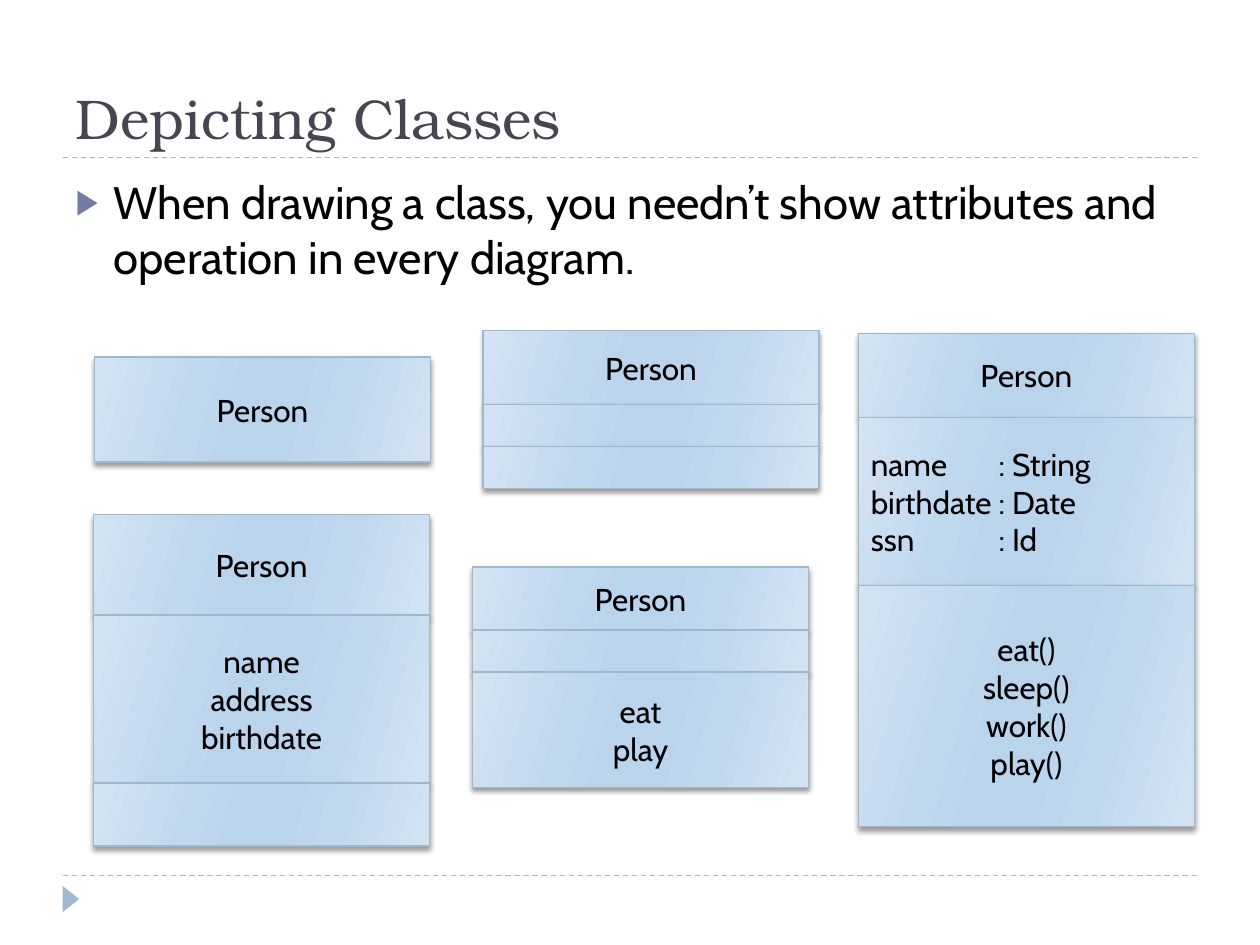
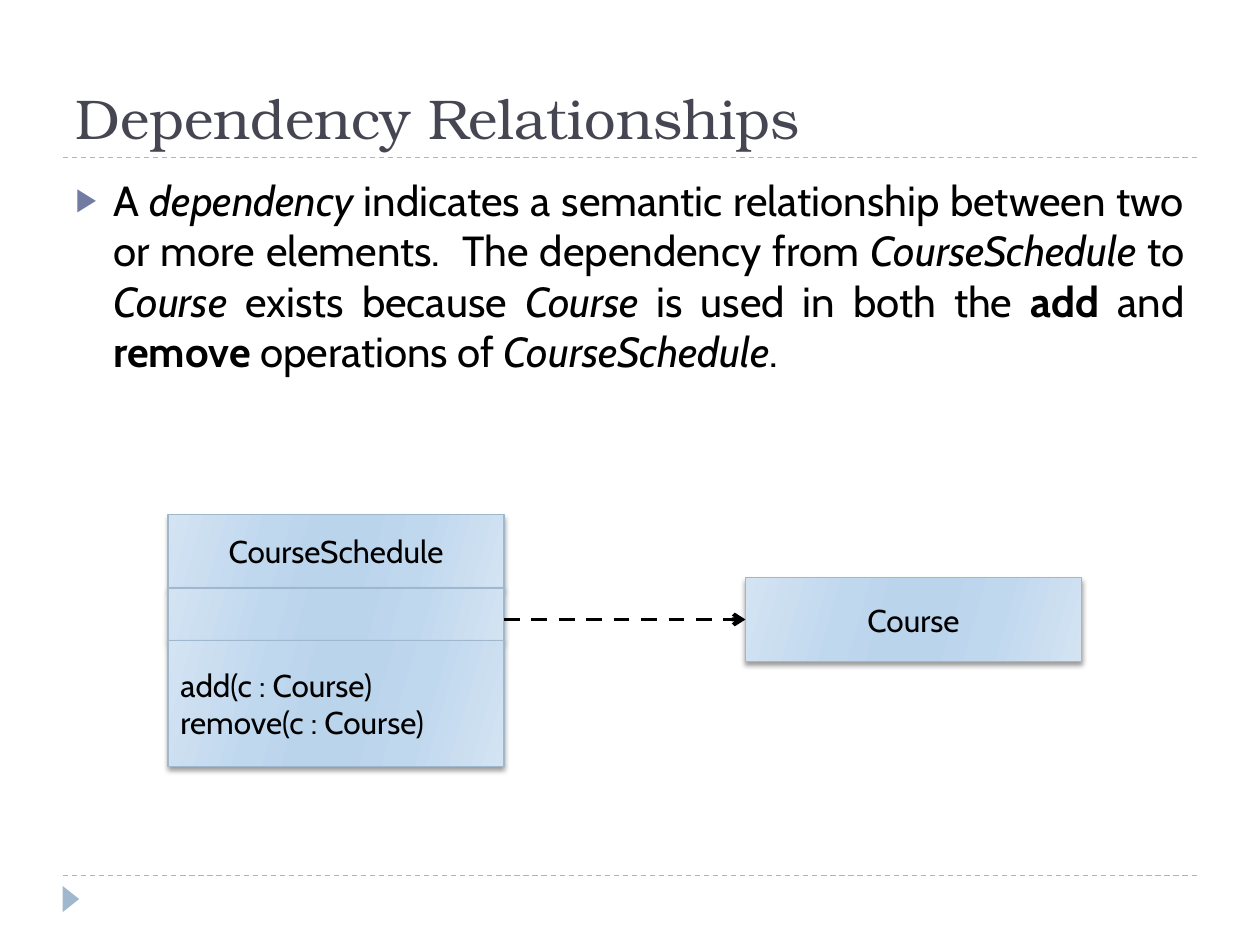
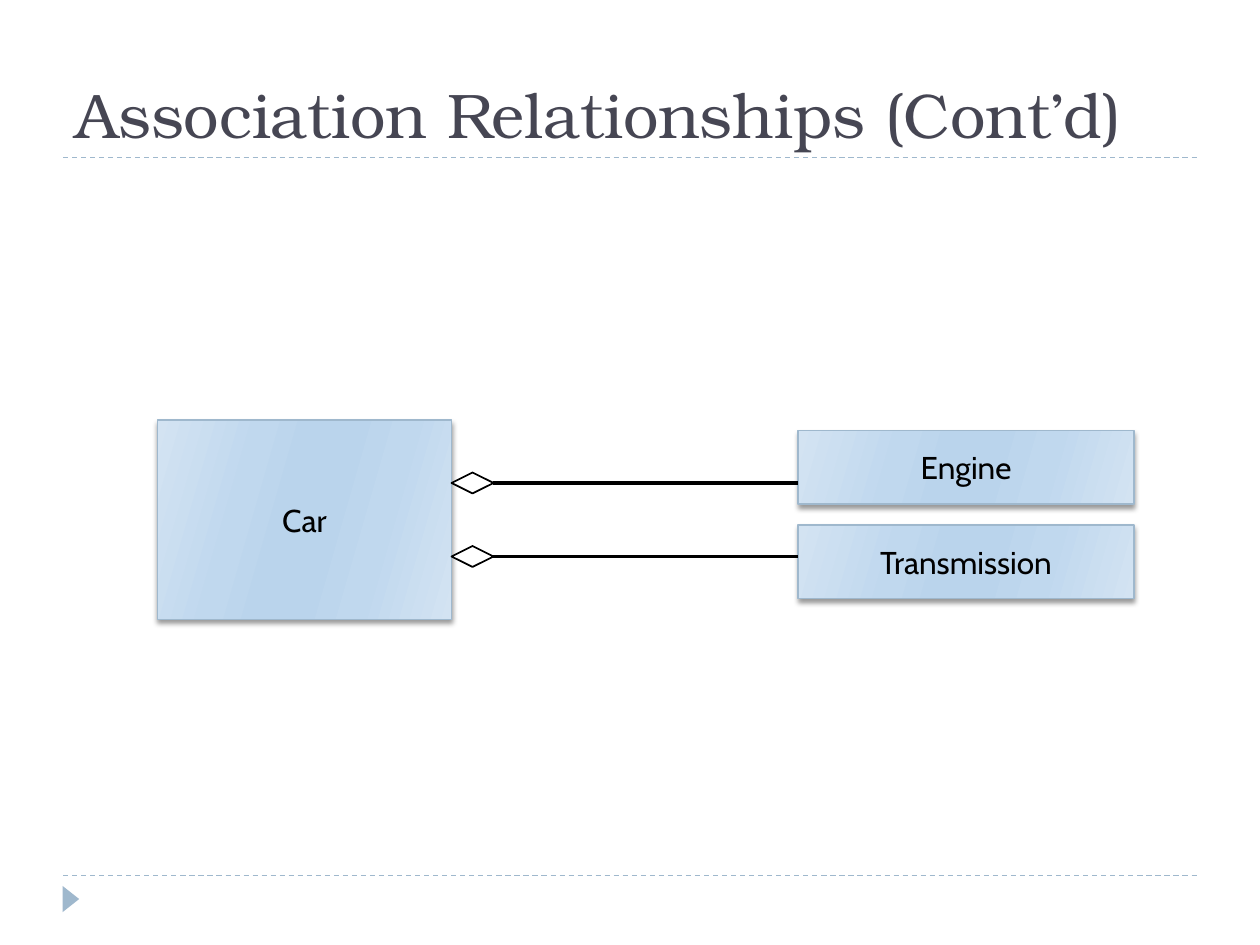
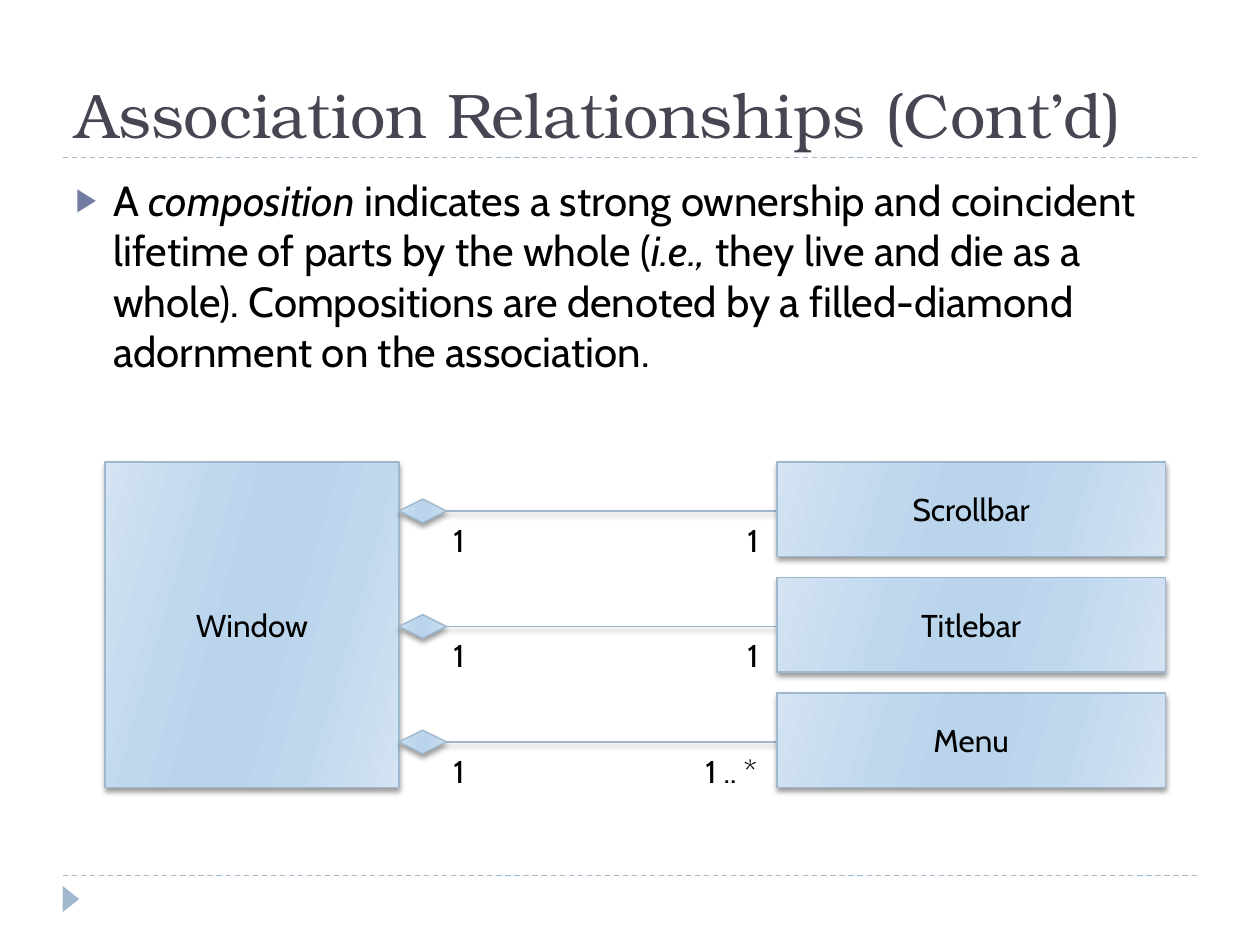
from lxml import etree
from pptx import Presentation
from pptx import util as u
from pptx.dml.color import RGBColor
from pptx.enum import dml, shapes, text
from pptx.oxml.ns import qn

Pt = u.Pt
COLORS = {
    "title": "464653",
    "ink": "000000",
    "paper": "FFFFFF",
    "accent": "9FB8CD",
    "bullet": "727CA3",
    "edge": "D3E3F2",
    "mid": "C0D8EE",
    "core": "BAD4EC",
}
GRADIENT = [(0, "edge"), (30, "mid"), (45, "core"), (55, "core"), (73, "mid"), (100, "edge")]
TITLE_FONT = "TeX Gyre Bonum"
BODY_FONT = "Cabin"
CLASS_WIDTH = 192
COLON_TAB = 73
LEFT, CENTER, JUSTIFY = text.PP_ALIGN.LEFT, text.PP_ALIGN.CENTER, text.PP_ALIGN.JUSTIFY


def rgb(name):
    return RGBColor.from_string(COLORS[name])


def add_node(parent, tag, **attributes):
    return etree.SubElement(parent, qn(tag), {key: str(value) for key, value in attributes.items()})


def set_font(font, size, color="ink", name=BODY_FONT):
    font.name, font.size = name, Pt(size)
    font.color.rgb = rgb(color)


def set_line(line, color="accent", width=0.75, dashed=False):
    line.color.rgb = rgb(color)
    line.width = Pt(width)
    if dashed:
        line.dash_style = dml.MSO_LINE.DASH


def set_shadow(shape):
    properties = shape.element.spPr
    effects = properties.find(qn("a:effectLst"))
    if effects is None:
        effects = add_node(properties, "a:effectLst")
    shadow = add_node(effects, "a:outerShdw", blurRad=Pt(3), dist=Pt(2), dir=5400000, rotWithShape=0)
    color = add_node(shadow, "a:srgbClr", val=COLORS["ink"])
    add_node(color, "a:alpha", val=40000)


def set_gradient(shape):
    shape.fill.gradient()
    shape.fill.gradient_angle = 344
    stops = shape.element.spPr.find(qn("a:gradFill")).find(qn("a:gsLst"))
    for stop in list(stops):
        stops.remove(stop)
    for position, color in GRADIENT:
        stop = add_node(stops, "a:gs", pos=position * 1000)
        add_node(stop, "a:srgbClr", val=COLORS[color])


def style_glass(shape):
    shape.shadow.inherit = False
    set_gradient(shape)
    set_line(shape.line)
    set_shadow(shape)


def add_line(page, start, end, y, color="accent", width=0.75, dashed=False, arrow=False, shadow=False):
    line = page.shapes.add_connector(shapes.MSO_CONNECTOR.STRAIGHT, Pt(start), Pt(y), Pt(end), Pt(y))
    set_line(line.line, color, width, dashed)
    if arrow:
        add_node(line.element.spPr.find(qn("a:ln")), "a:tailEnd", type="arrow")
    add_node(line.element.spPr, "a:effectLst")
    if shadow:
        set_shadow(line)
    return line


def add_diamond(page, left, middle, width, height):
    builder = page.shapes.build_freeform(Pt(left), Pt(middle), scale=1.0)
    corners = [(left + width / 2, middle - height / 2), (left + width, middle),
               (left + width / 2, middle + height / 2)]
    builder.add_line_segments([(Pt(x), Pt(y)) for x, y in corners], close=True)
    return builder.convert_to_shape()


def add_hollow_link(page, left, end, y):
    add_line(page, left + 24, end, y, "ink", 2.25)
    diamond = add_diamond(page, left, y, 24, 12)
    diamond.shadow.inherit = False
    diamond.fill.solid()
    diamond.fill.fore_color.rgb = rgb("paper")
    set_line(diamond.line, "ink", 1)


def add_filled_link(page, left, end, y):
    add_line(page, left + 27, end, y, shadow=True)
    style_glass(add_diamond(page, left, y, 27, 13.5))


def add_box(page, left, top, width, height, lines, align=CENTER):
    box = page.shapes.add_shape(shapes.MSO_SHAPE.RECTANGLE, Pt(left), Pt(top), Pt(width), Pt(height))
    style_glass(box)
    frame = box.text_frame
    frame.word_wrap = False
    frame.vertical_anchor = text.MSO_ANCHOR.MIDDLE
    frame.text = "\n".join(lines)
    for para in frame.paragraphs:
        para.alignment = align
        if "\t" in para.text:
            tabs = add_node(para._p.get_or_add_pPr(), "a:tabLst")
            add_node(tabs, "a:tab", pos=Pt(COLON_TAB), algn="l")
        set_font(para.font, 18)


def add_class(page, left, top, *compartments):
    for height, lines, *align in compartments:
        add_box(page, left, top, CLASS_WIDTH, height, lines, *align)
        top += height


def add_label(page, left, top, width, words):
    box = page.shapes.add_textbox(Pt(left), Pt(top), Pt(width), Pt(29))
    box.text_frame.word_wrap = True
    box.text_frame.auto_size = text.MSO_AUTO_SIZE.SHAPE_TO_FIT_TEXT
    para = box.text_frame.paragraphs[0]
    para.text = words
    set_font(para.font, 18)


def place(holder, left, top, width, height, anchor):
    holder.left, holder.top, holder.width, holder.height = Pt(left), Pt(top), Pt(width), Pt(height)
    holder.text_frame.auto_size = text.MSO_AUTO_SIZE.NONE
    holder.text_frame.vertical_anchor = anchor


def fill_body(page, size, spans, align=LEFT):
    body = page.placeholders[1]
    place(body, 36, 96, 648, 389, text.MSO_ANCHOR.TOP)
    para = body.text_frame.paragraphs[0]
    properties = para._p.get_or_add_pPr()
    properties.set("marL", str(Pt(21.6)))
    properties.set("indent", str(Pt(-21.6)))
    add_node(add_node(properties, "a:buClr"), "a:srgbClr", val=COLORS["bullet"])
    add_node(properties, "a:buSzPct", val=76000)
    add_node(properties, "a:buChar", char="▶")
    para.alignment = align
    para.space_before = Pt(6)
    set_font(para.font, size)
    for words, *style in spans:
        span = para.add_run()
        span.text = words
        if "italic" in style:
            span.font.italic = True
        if "bold" in style:
            span.font.bold = True


def add_page(deck, title, size, layout=1):
    page = deck.slides.add_slide(deck.slide_layouts[layout])
    place(page.shapes.title, 36, 12, 648, 78, text.MSO_ANCHOR.BOTTOM)
    para = page.shapes.title.text_frame.paragraphs[0]
    para.text = title
    para.alignment = LEFT
    set_font(para.font, size, "title", TITLE_FONT)
    return page


def decorate_master(deck, page):
    marker = page.shapes.add_shape(shapes.MSO_SHAPE.ISOSCELES_TRIANGLE, Pt(33), Pt(509), Pt(15), Pt(9.5))
    marker.rotation = 90
    marker.shadow.inherit = False
    marker.fill.solid()
    marker.fill.fore_color.rgb = rgb("accent")
    marker.line.fill.background()
    rules = [add_line(page, 36, 684, y, dashed=True) for y in (500.5, 90)]
    for number, shape in enumerate([*rules, marker], 100):
        shape.element.xpath(".//p:cNvPr")[0].set("id", str(number))
        deck.slide_master.shapes.element.append(shape.element)


def build_classes(deck):
    page = add_page(deck, "Depicting Classes", 32)
    decorate_master(deck, page)
    fill_body(page, 26, [("When drawing a class, you needn’t show attributes and operation in every diagram.",)])
    person = ["Person"]
    add_class(page, 54, 204, (60, person))
    add_class(page, 53.5, 294, (57.5, person), (96, ["name", "address", "birthdate"]), (36, []))
    add_class(page, 276, 189, (42, person), (24, []), (24, []))
    add_class(page, 490.5, 190.5, (48, person),
              (96, ["name\t: String", "birthdate\t: Date", "ssn\t: Id"], LEFT),
              (138, ["eat()", "sleep()", "work()", "play()"]))
    add_class(page, 270, 324, (36, person), (24, []), (66, ["eat", "play"]))


def build_dependency(deck):
    page = add_page(deck, "Dependency Relationships", 32)
    fill_body(page, 24, [
        ("A ",), ("dependency", "italic"),
        (" indicates a semantic relationship between two or more elements.  The dependency from ",),
        ("CourseSchedule", "italic"), (" to ",), ("Course", "italic"), (" exists because ",),
        ("Course", "italic"), (" is used in both the ",), ("add", "bold"), (" and ",),
        ("remove", "bold"), (" operations of ",), ("CourseSchedule", "italic"), (".",),
    ], JUSTIFY)
    add_class(page, 96, 294, (42, ["CourseSchedule"]), (30, []),
              (72, ["add(c : Course)", "remove(c : Course)"], LEFT))
    add_class(page, 426, 330, (48, ["Course"]))
    add_line(page, 96 + CLASS_WIDTH, 426, 354, "ink", 2.25, dashed=True, arrow=True)


def build_aggregation(deck):
    page = add_page(deck, "Association Relationships (Cont’d)", 36, layout=5)
    add_box(page, 90, 240, 168, 114, ["Car"])
    for part, top, link in (("Engine", 246, 276), ("Transmission", 300, 318)):
        add_class(page, 456, top, (42, [part]))
        add_hollow_link(page, 258, 456, link)


def build_composition(deck):
    page = add_page(deck, "Association Relationships (Cont’d)", 36)
    fill_body(page, 24, [
        ("A ",), ("composition ", "italic"),
        ("indicates a strong ownership and coincident lifetime of parts by the whole (",),
        ("i.e.,", "italic"),
        (" they live and die as a whole). Compositions are denoted by a filled-diamond"
         " adornment on the association.",),
    ])
    add_box(page, 60, 264, 168, 186, ["Window"])
    parts = [("Scrollbar", "1", 420, 24), ("Titlebar", "1", 420, 24), ("Menu", "1 .. *", 396, 60)]
    for row, (part, count, left, width) in enumerate(parts):
        top = 264 + 66 * row
        add_filled_link(page, 228, 447, top + 28)
        add_box(page, 444, top, 222, 54, [part])
        add_label(page, 252, top + 30, 24, "1")
        add_label(page, left, top + 30, width, count)


def main():
    deck = Presentation()
    deck.slide_width, deck.slide_height = Pt(720), Pt(540)
    build_classes(deck)
    build_dependency(deck)
    build_aggregation(deck)
    build_composition(deck)
    deck.save("out.pptx")


if __name__ == "__main__":
    main()
